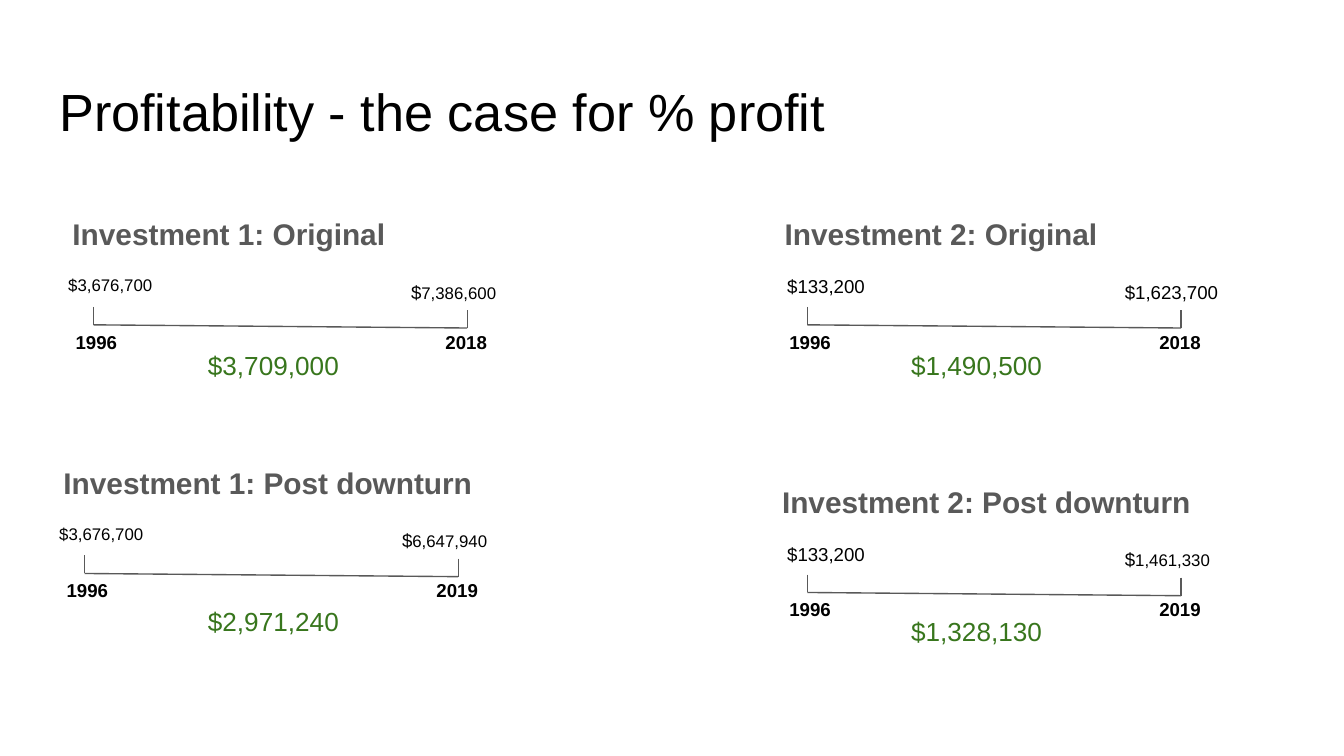
from lxml.etree import SubElement
from pptx import Presentation
from pptx.dml.color import RGBColor
from pptx.enum.shapes import MSO_CONNECTOR
from pptx.enum.text import MSO_ANCHOR, MSO_AUTO_SIZE, PP_ALIGN
from pptx.oxml.ns import qn
from pptx.util import Cm, Pt

COLORS = {"ink": "000000", "grey": "595959", "gain": "38761D"}

# head, start, end, last year, gain, origin of timeline, offset of head, place of gain
# start and end are lists of (text, size)
CASES = [
    ("Investment 1: Original", [("$3,676,700", 9)], [("$", 10), ("7,386,600", 9)],
     "2018", "$3,709,000", (1.04, 4.95), 0.08, (3.68, 6.35)),
    ("Investment 1: Post downturn", [("$3,676,700", 9)], [("$", 10), ("6,647,940", 9)],
     "2019", "$2,971,240", (0.87, 9.65), 0.08, (3.68, 11.2)),
    ("Investment 2: Post downturn", [(" $133,200", 10)], [("$", 10), ("1,461,330", 9)],
     "2019", "$1,328,130", (14.53, 10.01), 0, (16.97, 11.38)),
    ("Investment 2: Original", [(" $133,200", 10)], [("$1,623,700", 10)],
     "2018", "$1,490,500", (14.53, 4.95), 0.05, (16.97, 6.35)),
]


def write(shape, parts, color="ink", bold=False):
    """Fill a shape with one left-aligned line of (text, size) parts."""
    frame = shape.text_frame
    frame.word_wrap = True
    frame.auto_size = MSO_AUTO_SIZE.NONE
    frame.vertical_anchor = MSO_ANCHOR.TOP
    frame.margin_left = frame.margin_right = Cm(0.25)
    frame.margin_top = frame.margin_bottom = Cm(0.25)
    para = frame.paragraphs[0]
    para.alignment = PP_ALIGN.LEFT
    para.text = parts[0][0]
    for text, _ in parts[1:]:
        para.add_run().text = text
    for run, (_, size) in zip(para.runs, parts):
        run.font.name = "Arial"
        run.font.size = Pt(size)
        run.font.bold = bold
        run.font.color.rgb = RGBColor.from_string(COLORS[color])
    return para


def place(shape, left, top, width, height):
    shape.left, shape.top = Cm(left), Cm(top)
    shape.width, shape.height = Cm(width), Cm(height)


def label(shapes, box, parts, color="ink", bold=False):
    write(shapes.add_textbox(*map(Cm, box)), parts, color, bold)


def rule(shapes, *ends):
    line = shapes.add_connector(MSO_CONNECTOR.STRAIGHT, *map(Cm, ends))
    line.line.color.rgb = RGBColor.from_string(COLORS["grey"])
    line.line.width = Pt(0.75)
    SubElement(line._element.spPr, qn("a:effectLst"))


def title(slide, box):
    place(slide.shapes.title, *box)
    write(slide.shapes.title, [("Profitability - the case for % profit", 28)])


def heading(holder, box, text):
    place(holder, *box)
    para = write(holder, [(text, 16)], "grey", True)
    para.line_spacing = 1.15
    para.space_before, para.space_after = Pt(0), Pt(16)
    props = para._p.get_or_add_pPr()
    props.set("marL", "0")
    props.set("indent", "0")
    SubElement(props, qn("a:buNone"))


def timeline(slide, left, top, start, end, year):
    shapes = slide.shapes.add_group_shape().shapes
    # Values above the ends
    label(shapes, (left + 6.48, top + 0.1, 2.64, 0.89), end)
    label(shapes, (left, top, 2.24, 0.89), start)
    # Sloping base with a tick at each end
    x1, y1 = left + 0.73, top + 1.19
    x2, y2 = left + 7.79, top + 1.25
    rule(shapes, x1, y1, x2, y2)
    for x, y in ((x1, y1), (x2, y2)):
        rule(shapes, x, y - 0.34, x, y)
    # Years below the ends
    for shift, text in ((0.14, "1996"), (7.13, year)):
        label(shapes, (left + shift, top + 1.05, 1.95, 0.89), [(text, 10)], bold=True)


def main():
    deck = Presentation()
    deck.slide_width, deck.slide_height = Cm(25.4), Cm(14.29)
    slide = deck.slides.add_slide(deck.slide_layouts.get_by_name("Comparison"))
    title(slide, (0.87, 1.24, 23.67, 1.6))

    holders = list(slide.placeholders)[1:]
    for holder, case in zip(holders, CASES):
        head, start, end, year, gain, (left, top), shift, spot = case
        heading(holder, (left + shift, top - 1.22, 8.97, 1.32), head)
        timeline(slide, left, top, start, end, year)
        label(slide.shapes, (*spot, 3.28, 1.8), [(gain, 14)], "gain")

    deck.save("out.pptx")


if __name__ == "__main__":
    main()
